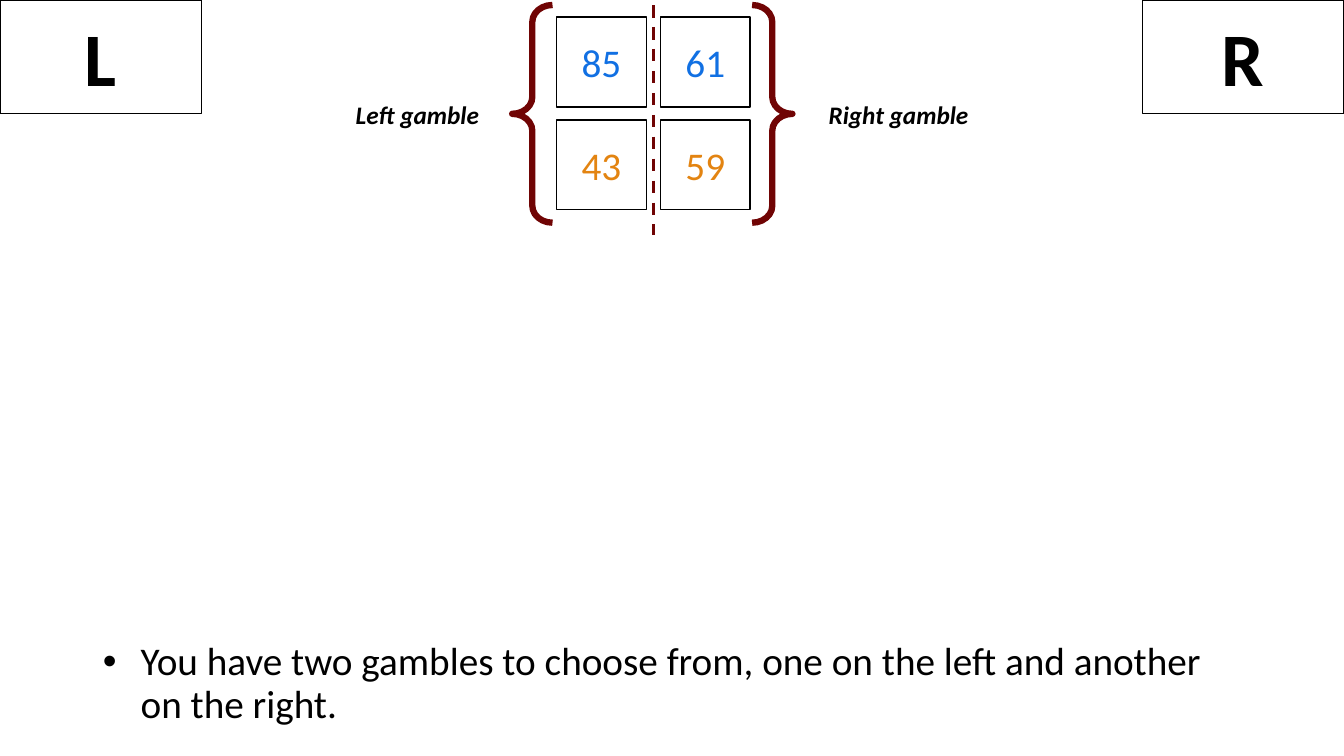
from pptx import Presentation
from pptx.dml.color import RGBColor
from pptx.enum.dml import MSO_LINE
from pptx.enum.shapes import MSO_CONNECTOR, MSO_SHAPE
from pptx.enum.text import MSO_ANCHOR, MSO_AUTO_SIZE, PP_ALIGN
from pptx.oxml.ns import qn
from pptx.util import Inches, Pt
from lxml import etree

RECTANGLE = MSO_SHAPE.RECTANGLE
LEFT_BRACE, RIGHT_BRACE = MSO_SHAPE.LEFT_BRACE, MSO_SHAPE.RIGHT_BRACE
STRAIGHT, DASH = MSO_CONNECTOR.STRAIGHT, MSO_LINE.DASH
MIDDLE, TOP, CENTER, LEFT = MSO_ANCHOR.MIDDLE, MSO_ANCHOR.TOP, PP_ALIGN.CENTER, PP_ALIGN.LEFT
FIT_SHAPE, NO_FIT = MSO_AUTO_SIZE.SHAPE_TO_FIT_TEXT, MSO_AUTO_SIZE.NONE

FONT = "Calibri"
COLORS = {"ink": "000000", "paper": "FFFFFF", "brace": "700404",
          "top": "1170E3", "bottom": "E38411"}

SLIDE_W, SLIDE_H = 13.33, 7.5
KEY_W, KEY_H = 0.15 * SLIDE_W, 0.15 * SLIDE_H

# Grid of the four payoffs
GRID_LEFT, GRID_TOP = 5.52, 0.17
CELL, COL_STEP, ROW_STEP = 0.89, 1.03, 1.02
BRACE_TOP, BRACE_W, BRACE_H = 0.05, 0.4, 2.16
LABEL_TOP, LABEL_H = 0.94, 0.4


def rgb(name):
    return RGBColor.from_string(COLORS[name])


def box(left, top, width, height):
    return [Inches(v) for v in (left, top, width, height)]


def write(frame, text, size, color="ink", bold=False, italic=False, align=LEFT):
    frame.text = text
    paragraph = frame.paragraphs[0]
    paragraph.alignment = align
    font = paragraph.runs[0].font
    font.name, font.size = FONT, Pt(size)
    font.bold, font.italic = bold, italic
    font.color.rgb = rgb(color)


def add_outline(slide, kind, place, line_color, line_width):
    outline = slide.shapes.add_shape(kind, *box(*place))
    outline.shadow.inherit = False
    outline.fill.background()
    outline.line.color.rgb = rgb(line_color)
    outline.line.width = Pt(line_width)
    return outline


def add_card(slide, place, text, size, color="ink", bold=False):
    card = add_outline(slide, RECTANGLE, place, "ink", 1)
    card.text_frame.vertical_anchor = MIDDLE
    write(card.text_frame, text, size, color, bold, align=CENTER)
    return card


def add_key(slide, left, letter):
    key = add_card(slide, (left, 0, KEY_W, KEY_H), letter, 54, bold=True)
    key.fill.solid()
    key.fill.fore_color.rgb = rgb("paper")


def add_gamble(slide, column, payoffs, label, label_left, label_w, brace, brace_left):
    # Brace
    curve = add_outline(slide, brace, (brace_left, BRACE_TOP, BRACE_W, BRACE_H),
                        "brace", 4.5)
    curve.adjustments[0] = 0.42
    # Label
    caption = slide.shapes.add_textbox(*box(label_left, LABEL_TOP, label_w, LABEL_H))
    caption.text_frame.word_wrap = True
    caption.text_frame.auto_size = FIT_SHAPE
    write(caption.text_frame, label, 18, bold=True, italic=True)
    # Payoffs
    for row, (payoff, color) in enumerate(zip(payoffs, ("top", "bottom"))):
        place = (GRID_LEFT + column * COL_STEP, GRID_TOP + row * ROW_STEP, CELL, CELL)
        add_card(slide, place, payoff, 28, color)


def add_divider(slide):
    x = GRID_LEFT + (CELL + COL_STEP) / 2
    divider = slide.shapes.add_connector(
        STRAIGHT, Inches(x), Inches(0.05), Inches(x), Inches(2.33))
    divider.line.color.rgb = rgb("brace")
    divider.line.width = Pt(2.25)
    divider.line.dash_style = DASH
    etree.SubElement(divider._element.spPr, qn("a:effectLst"))


def fill_instruction(body, text):
    body.left, body.top, body.width, body.height = box(0.92, 6.32, 11.5, 1.02)
    frame = body.text_frame
    frame.auto_size = NO_FIT
    frame.vertical_anchor = TOP
    frame.text = text
    properties = frame.paragraphs[0]._p.get_or_add_pPr()
    properties.set("marL", str(Inches(0.25)))
    properties.set("indent", str(-Inches(0.25)))
    etree.SubElement(properties, qn("a:buFont")).set("typeface", "Arial")
    etree.SubElement(properties, qn("a:buChar")).set("char", "•")
    write(frame, text, 28)
    frame.paragraphs[0].line_spacing = 0.9
    frame.paragraphs[0].space_before = Pt(0)


def main():
    deck = Presentation()
    deck.slide_width, deck.slide_height = Inches(SLIDE_W), Inches(SLIDE_H)
    slide = deck.slides.add_slide(deck.slide_layouts[1])
    title = slide.shapes.title._element
    title.getparent().remove(title)

    # Instruction
    fill_instruction(slide.placeholders[1],
                     "You have two gambles to choose from, "
                     "one on the left and another on the right.")

    # Response keys
    add_key(slide, 0, "L")
    add_key(slide, SLIDE_W - KEY_W, "R")

    # Gambles
    add_gamble(slide, 0, ("85", "43"), "Left gamble", 3.43, 1.47, LEFT_BRACE, 5.08)
    add_gamble(slide, 1, ("61", "59"), "Right gamble", 8.12, 1.74, RIGHT_BRACE, 7.46)
    add_divider(slide)

    deck.save("out.pptx")


if __name__ == "__main__":
    main()
